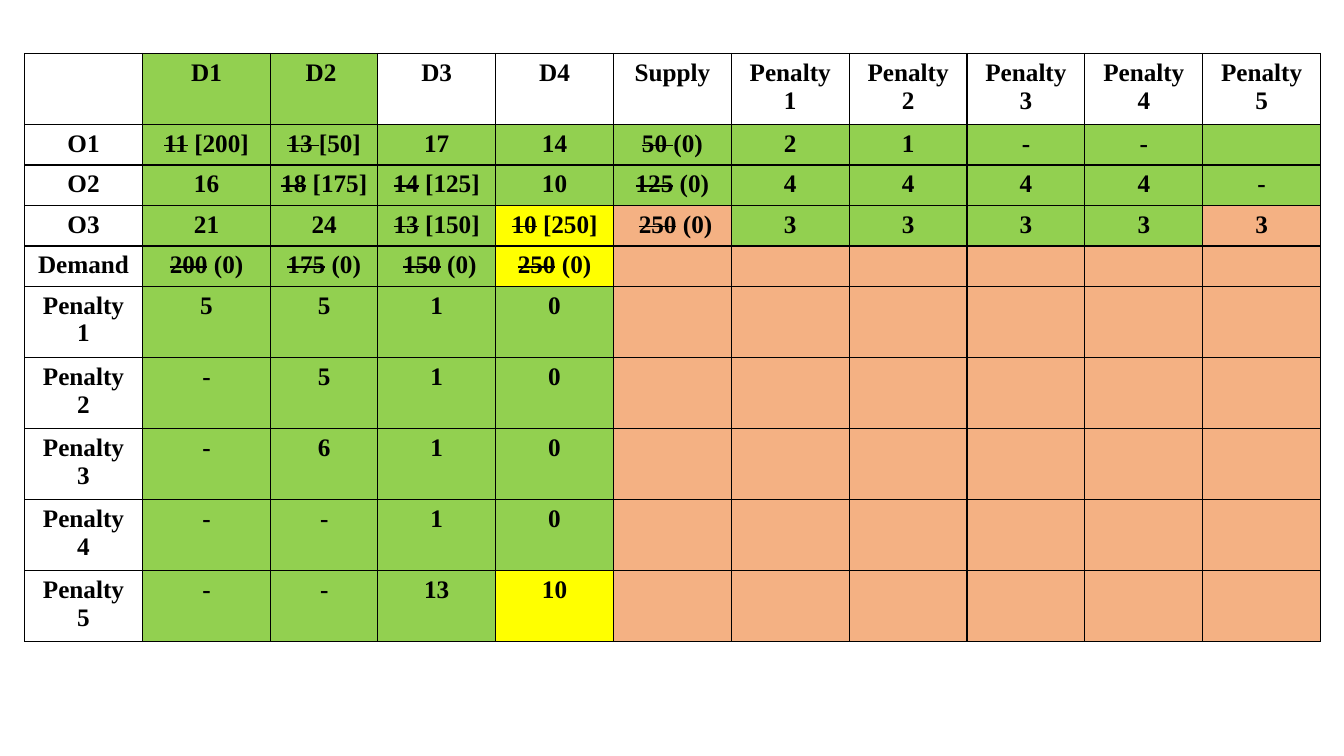
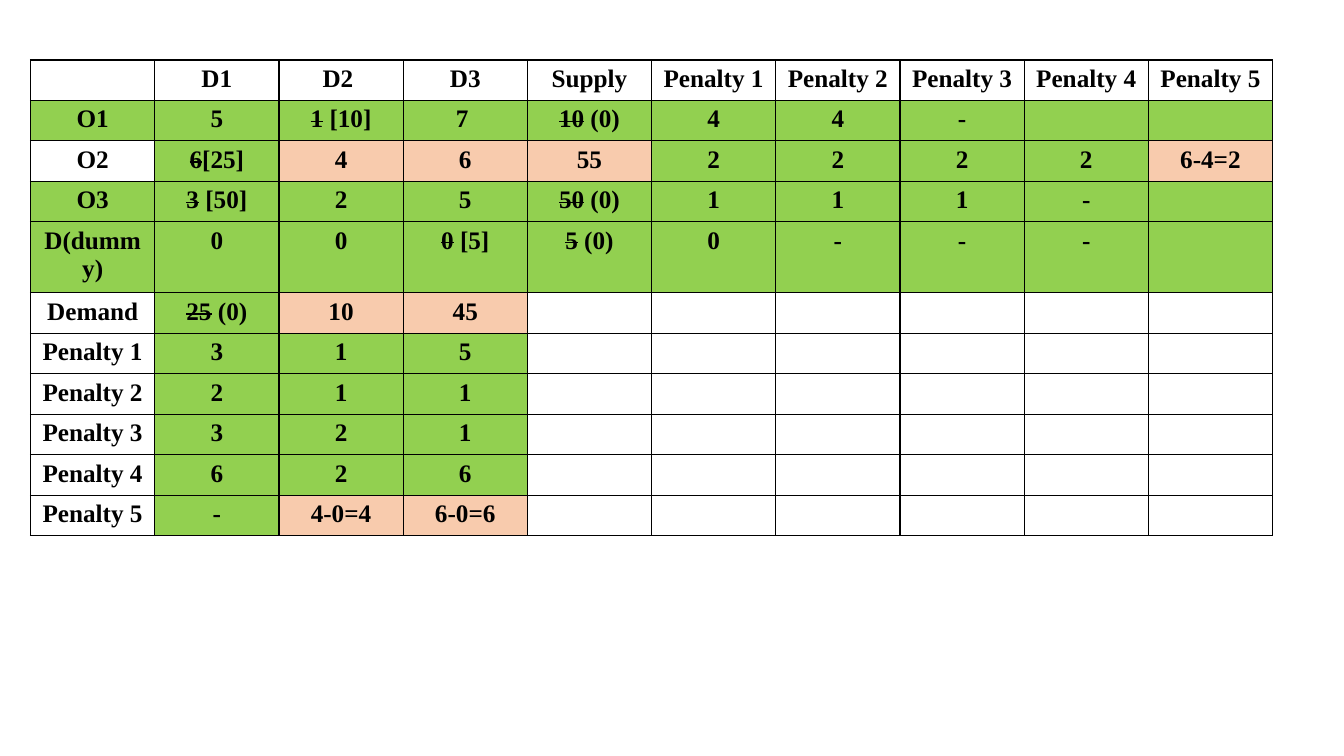
from dataclasses import dataclass

from lxml import etree
from pptx import Presentation
from pptx.dml.color import RGBColor
from pptx.enum import text
from pptx.oxml import ns
from pptx.util import Cm, Pt


@dataclass(frozen=True)
class Theme:
    font: str = "Times New Roman"
    size: float = 18
    ink: str = "000000"
    line: float = 1
    green: str = "92D050"
    gold: str = "FFFF00"
    peach: str = "F4B183"
    pale: str = "F8CBAD"


@dataclass(frozen=True)
class Row:
    """Cells split by "|", struck text between "~", one fill letter per cell."""
    cells: str
    fills: str
    tall: bool = False


@dataclass(frozen=True)
class Grid:
    left: float
    top: float
    cols: list[float]
    rows: list[Row]


THEME = Theme()
FILLS = {"g": THEME.green, "y": THEME.gold, "o": THEME.peach, "p": THEME.pale}
LOW, TALL = 1.02, 1.79

FIRST = Grid(0.62, 1.35, [2.97, 3.23, 2.7] + [2.97] * 8, [
    Row("|D1|D2 |D3|D4|Supply|Penalty 1|Penalty 2|Penalty 3|Penalty 4|Penalty 5",
        ".gg........", True),
    Row("O1|~11~ [200]|~13 ~[50]|17|14|~50 ~(0)|2|1|-|-|", ".gggggggggg"),
    Row("O2|16|~18~ [175]|~14~ [125]|10|~125~ (0)|4|4|4|4|-", ".gggggggggg"),
    Row("O3|21|24|~13~ [150]|~10~ [250]| ~250~ (0)|3|3|3|3|3", ".gggyoggggo"),
    Row("Demand|~200~ (0)|~175~ (0)| ~150~ (0)|~250~ (0)||||||", ".gggyoooooo"),
    Row("Penalty 1|5|5|1|0||||||", ".ggggoooooo", True),
    Row("Penalty 2|-|5|1|0||||||", ".ggggoooooo", True),
    Row("Penalty 3|-|6|1|0||||||", ".ggggoooooo", True),
    Row("Penalty 4|-|-|1|0||||||", ".ggggoooooo", True),
    Row("Penalty 5|-|-|13|10||||||", ".gggyoooooo", True),
])

SECOND = Grid(0.77, 1.51, [3.13] * 10, [
    Row("|D1|D2 |D3|Supply|Penalty 1|Penalty 2|Penalty 3|Penalty 4|Penalty 5",
        ".........."),
    Row("O1|5|~1~ [10]|7 |~10~ (0)|4|4|-||", "gggggggggg"),
    Row("O2|~6~[25]|4|6|55|2|2|2|2|6-4=2", ".gpppggggp"),
    Row("O3|~3~ [50]|2|5|~50~ (0)|1|1|1|-|", "gggggggggg"),
    Row("D(dummy)|0|0|~0~ [5]|~5~ (0)|0|-|-|-|", "gggggggggg", True),
    Row("Demand|~25~ (0)|10|45||||||", ".gpp......"),
    Row("Penalty 1|3|1|5||||||", ".ggg......"),
    Row("Penalty 2|2|1|1||||||", ".ggg......"),
    Row("Penalty 3|3|2|1||||||", ".ggg......"),
    Row("Penalty 4|6|2|6||||||", ".ggg......"),
    Row("Penalty 5|-|4-0=4|6-0=6||||||", ".gpp......"),
])


def border(cell) -> None:
    props = cell._tc.get_or_add_tcPr()
    for side in ("lnL", "lnR", "lnT", "lnB"):
        line = etree.SubElement(props, ns.qn(f"a:{side}"), w=str(Pt(THEME.line)))
        fill = etree.SubElement(line, ns.qn("a:solidFill"))
        etree.SubElement(fill, ns.qn("a:srgbClr"), val=THEME.ink)


def paint(cell, key: str) -> None:
    if key in FILLS:
        cell.fill.solid()
        cell.fill.fore_color.rgb = RGBColor.from_string(FILLS[key])
    else:
        cell.fill.background()


def write(cell, words: str) -> None:
    para = cell.text_frame.paragraphs[0]
    para.alignment = text.PP_ALIGN.CENTER
    font = para.font
    font.name, font.size, font.bold = THEME.font, Pt(THEME.size), True
    font.color.rgb = RGBColor.from_string(THEME.ink)
    for i, part in enumerate(words.split("~")):
        if part:
            run = para.add_run()
            run.text = part
            if i % 2:
                run._r.get_or_add_rPr().set("strike", "sngStrike")


def draw(deck, grid: Grid) -> None:
    slide = deck.slides.add_slide(deck.slide_layouts[6])
    highs = [TALL if row.tall else LOW for row in grid.rows]
    table = slide.shapes.add_table(
        len(highs), len(grid.cols), Cm(grid.left), Cm(grid.top),
        Cm(sum(grid.cols)), Cm(sum(highs))).table
    table.first_row = table.horz_banding = False
    for col, wide in zip(table.columns, grid.cols):
        col.width = Cm(wide)
    for line, row, high in zip(table.rows, grid.rows, highs):
        line.height = Cm(high)
        for cell, words, key in zip(line.cells, row.cells.split("|"), row.fills):
            border(cell)
            paint(cell, key)
            write(cell, words)


def main() -> None:
    deck = Presentation()
    deck.slide_width, deck.slide_height = Cm(33.87), Cm(19.05)
    for grid in (FIRST, SECOND):
        draw(deck, grid)
    deck.save("out.pptx")


if __name__ == "__main__":
    main()
